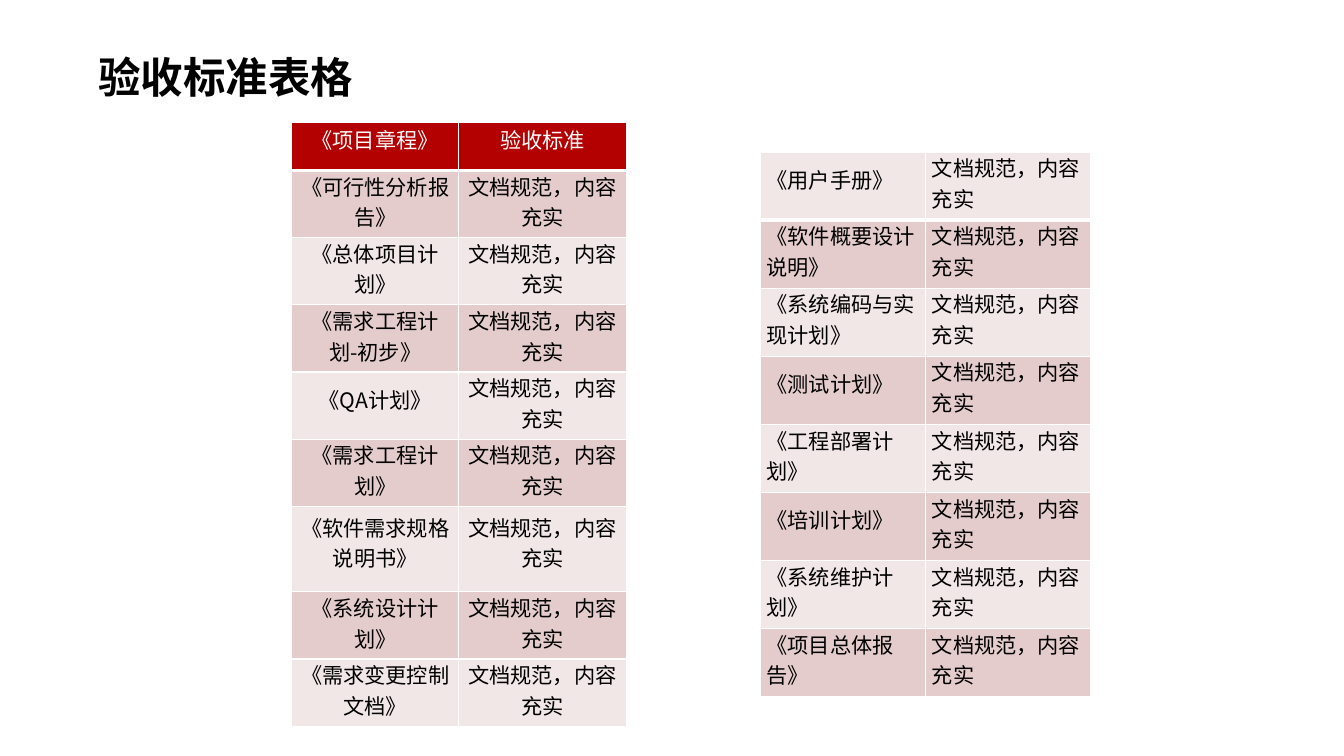
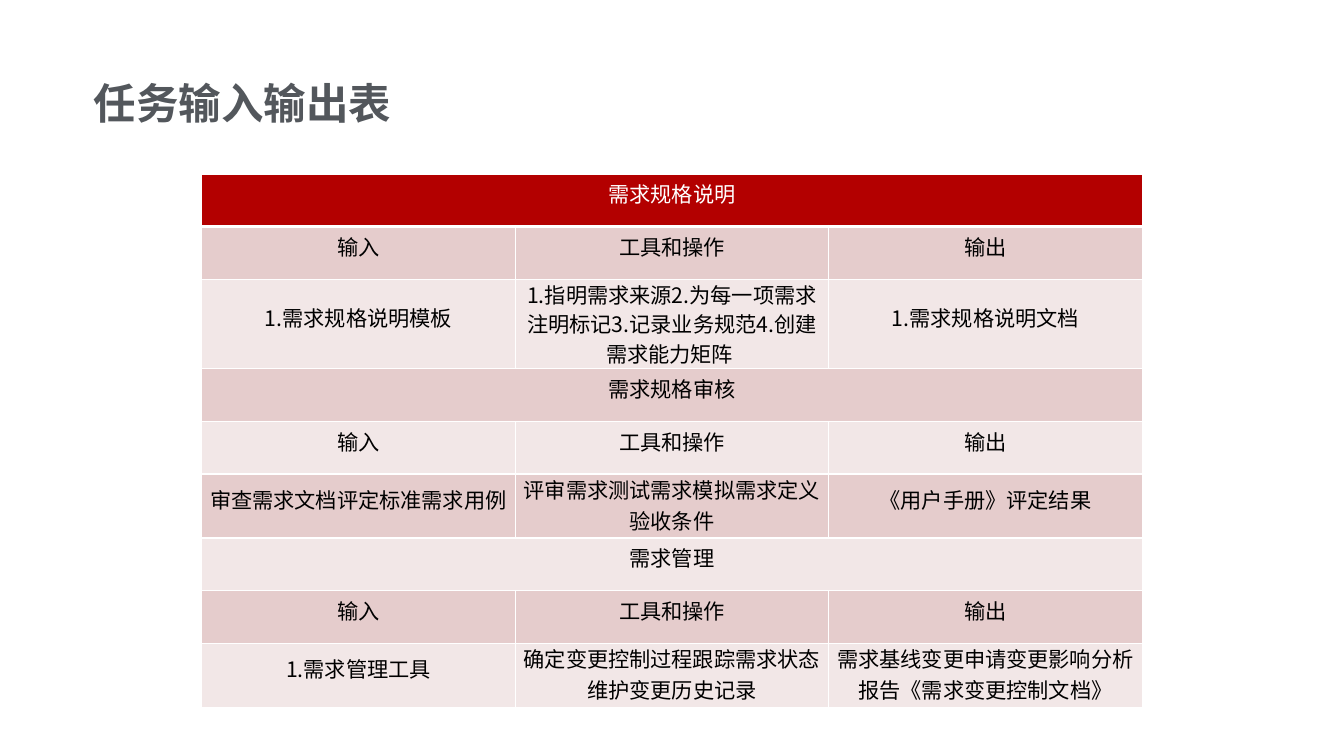
import math
from dataclasses import dataclass

from lxml import etree
from pptx import Presentation
from pptx import util as u
from pptx.dml.color import RGBColor
from pptx.enum import text
from pptx.oxml.ns import qn

SLIDE_W, SLIDE_H = 14.06, 7.91
FONT = "Noto Sans CJK SC"
TITLE_SIZE, BODY_SIZE = 32, 16
TITLE_ONLY = 5
SIDE_INSET, BOTTOM_INSET = 0.07, 0.14
CHAR_WIDTH = BODY_SIZE / 72
LINE_HEIGHT = 1.45 * CHAR_WIDTH
COLORS = {
    "black": "000000",
    "gray": "53575C",
    "white": "FFFFFF",
    "header": "B30000",
    "band_dark": "E5CCCC",
    "band_light": "F2E7E7",
}
STANDARD = "文档规范，内容充实"
TASK_COLUMNS = ("输入", "工具和操作", "输出")


@dataclass(frozen=True)
class Title:
    words: str
    left: float
    top: float
    width: float
    color: str


@dataclass(frozen=True)
class Table:
    """Row shares divide the height; a row with a single text spans all columns."""
    left: float
    top: float
    col_width: float
    height: float
    row_shares: tuple[float, ...]
    rows: tuple[tuple[str, ...], ...]
    has_header: bool = True
    centred: bool = True


def with_standard(*documents: str) -> tuple[tuple[str, str], ...]:
    return tuple((document, STANDARD) for document in documents)


def task(name: str, *details: str) -> tuple[tuple[str, ...], ...]:
    return (name,), TASK_COLUMNS, details


SLIDES = (
    (
        Title("验收标准表格", 0.93, 0.48, 3.36, "black"),
        (
            Table(
                3.05, 1.28, 1.75, 6.32, (0.5,) + (0.7,) * 5 + (0.89,) + (0.7,) * 2,
                (("《项目章程》", "验收标准"),) + with_standard(
                    "《可行性分析报告》", "《总体项目计划》", "《需求工程计划-初步》",
                    "《QA计划》", "《需求工程计划》", "《软件需求规格说明书》",
                    "《系统设计计划》", "《需求变更控制文档》"),
            ),
            Table(
                7.95, 1.59, 1.73, 5.7, (1,) * 8,
                with_standard(
                    "《用户手册》", "《软件概要设计说明》", "《系统编码与实现计划》",
                    "《测试计划》", "《工程部署计划》", "《培训计划》",
                    "《系统维护计划》", "《项目总体报告》"),
                has_header=False, centred=False,
            ),
        ),
    ),
    (
        Title("任务输入输出表", 0.88, 0.75, 3.84, "gray"),
        (
            Table(
                2.11, 1.82, 3.28, 5.58, (0.55, 0.55, 0.94) + (0.55, 0.55, 0.67) * 2,
                task("需求规格说明", "1.需求规格说明模板",
                     "1.指明需求来源2.为每一项需求注明标记3.记录业务规范4.创建需求能力矩阵 ",
                     "1.需求规格说明文档")
                + task("需求规格审核", "审查需求文档评定标准需求用例",
                       "评审需求测试需求模拟需求定义验收条件", "《用户手册》评定结果")
                + task("需求管理", "1.需求管理工具",
                       "确定变更控制过程跟踪需求状态维护变更历史记录",
                       "需求基线变更申请变更影响分析报告《需求变更控制文档》"),
            ),
        ),
    ),
)


def rgb(name: str) -> RGBColor:
    return RGBColor.from_string(COLORS[name])


def add_run(p, words: str, size: int, color: str, bold: bool = False) -> None:
    r = p.add_run()
    r.text = words
    r.font.size = u.Pt(size)
    r.font.bold = bold
    r.font.color.rgb = rgb(color)
    r.font.name = FONT
    props = r._r.get_or_add_rPr()
    props.set("lang", "zh-CN")
    etree.SubElement(props, qn("a:ea"), typeface=FONT)


def set_borders(cell, bottom_width: float) -> None:
    """White lines on all sides; they precede the fill in the cell's XML."""
    props = cell._tc.get_or_add_tcPr()
    widths = {"lnL": 1, "lnR": 1, "lnT": 1, "lnB": bottom_width}
    for i, (side, width) in enumerate(widths.items()):
        line = etree.Element(qn(f"a:{side}"), w=str(u.Pt(width)))
        fill = etree.SubElement(line, qn("a:solidFill"))
        etree.SubElement(fill, qn("a:srgbClr"), val=COLORS["white"])
        props.insert(i, line)


def add_title(slide, title: Title) -> None:
    sp = slide.shapes.title
    sp.left, sp.top = u.Inches(title.left), u.Inches(title.top)
    sp.width, sp.height = u.Inches(title.width), u.Inches(0.64)
    tf = sp.text_frame
    tf.auto_size = text.MSO_AUTO_SIZE.NONE
    tf.word_wrap = False
    tf.vertical_anchor = text.MSO_ANCHOR.MIDDLE
    p = tf.paragraphs[0]
    p.alignment = text.PP_ALIGN.LEFT
    add_run(p, title.words, TITLE_SIZE, title.color, bold=True)


def style_cell(cell, fill: str, bottom_width: float) -> None:
    cell.fill.solid()
    cell.fill.fore_color.rgb = rgb(fill)
    set_borders(cell, bottom_width)
    cell.vertical_anchor = text.MSO_ANCHOR.MIDDLE
    cell.margin_left = cell.margin_right = u.Inches(SIDE_INSET)
    cell.margin_top, cell.margin_bottom = 0, u.Inches(BOTTOM_INSET)


def fit_height(cell, words: str, width: float, height: float) -> None:
    """Trim the bottom inset, then the line spacing, so the row keeps its height."""
    per_line = int((width - 2 * SIDE_INSET) / CHAR_WIDTH)
    spare = height - math.ceil(len(words.strip()) / per_line) * LINE_HEIGHT
    cell.margin_bottom = u.Inches(min(BOTTOM_INSET, max(0, spare)))
    if spare < 0:
        cell.text_frame.paragraphs[0].line_spacing = 0.97


def add_table(slide, table: Table) -> None:
    n_cols = max(len(row) for row in table.rows)
    grid = slide.shapes.add_table(
        len(table.rows), n_cols, u.Inches(table.left), u.Inches(table.top),
        u.Inches(table.col_width * n_cols), u.Inches(table.height)).table
    grid.first_row = table.has_header
    for column in grid.columns:
        column.width = u.Inches(table.col_width)
    unit = table.height / sum(table.row_shares)
    for i, (words, share) in enumerate(zip(table.rows, table.row_shares)):
        height = share * unit
        grid.rows[i].height = u.Inches(height)
        is_header = table.has_header and i == 0
        fill = "header" if is_header else "band_dark" if i % 2 else "band_light"
        for j in range(n_cols):
            style_cell(grid.cell(i, j), fill, 1 if i else 3)
        if len(words) == 1:
            grid.cell(i, 0).merge(grid.cell(i, n_cols - 1))
        for j, word in enumerate(words):
            cell = grid.cell(i, j)
            fit_height(cell, word, table.col_width, height)
            p = cell.text_frame.paragraphs[0]
            p.alignment = text.PP_ALIGN.CENTER if table.centred else text.PP_ALIGN.LEFT
            add_run(p, word, BODY_SIZE, "white" if is_header else "black")


def main() -> None:
    prs = Presentation()
    prs.slide_width, prs.slide_height = u.Inches(SLIDE_W), u.Inches(SLIDE_H)
    for title, tables in SLIDES:
        slide = prs.slides.add_slide(prs.slide_layouts[TITLE_ONLY])
        add_title(slide, title)
        for table in tables:
            add_table(slide, table)
    prs.save("out.pptx")


if __name__ == "__main__":
    main()
